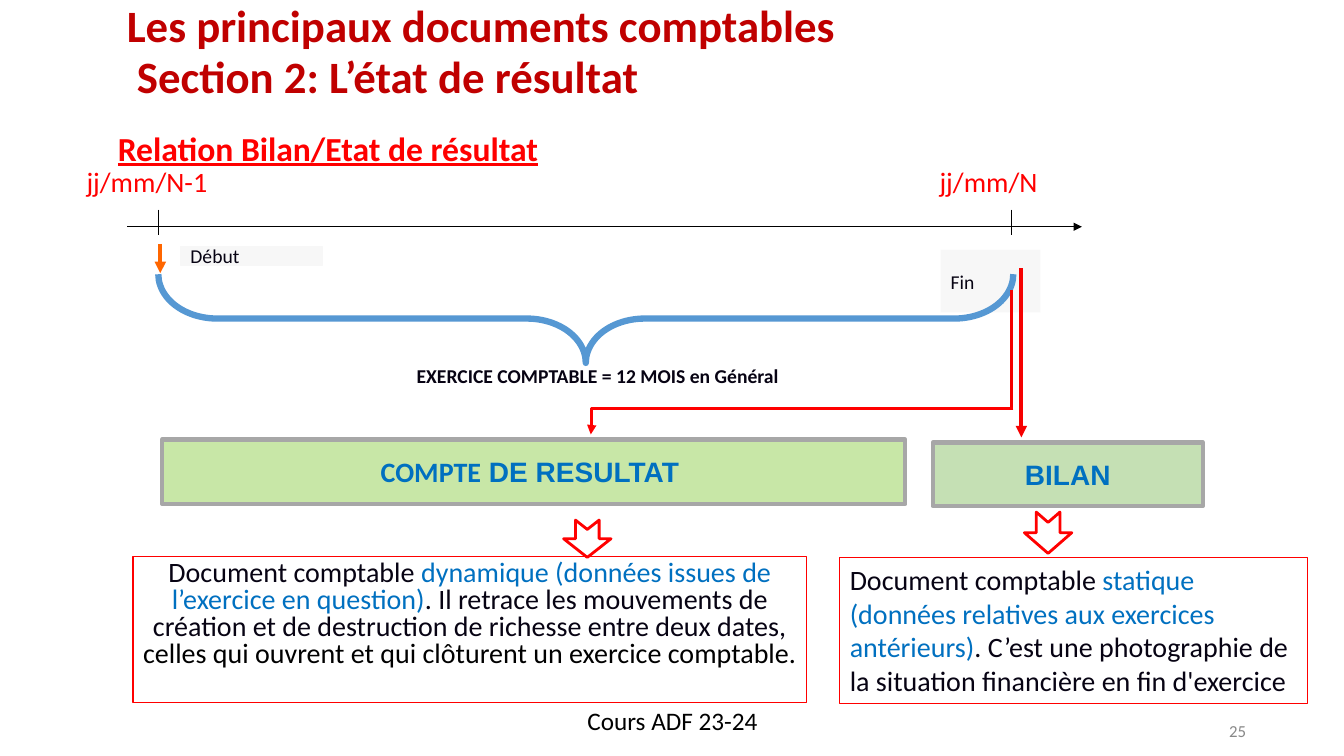
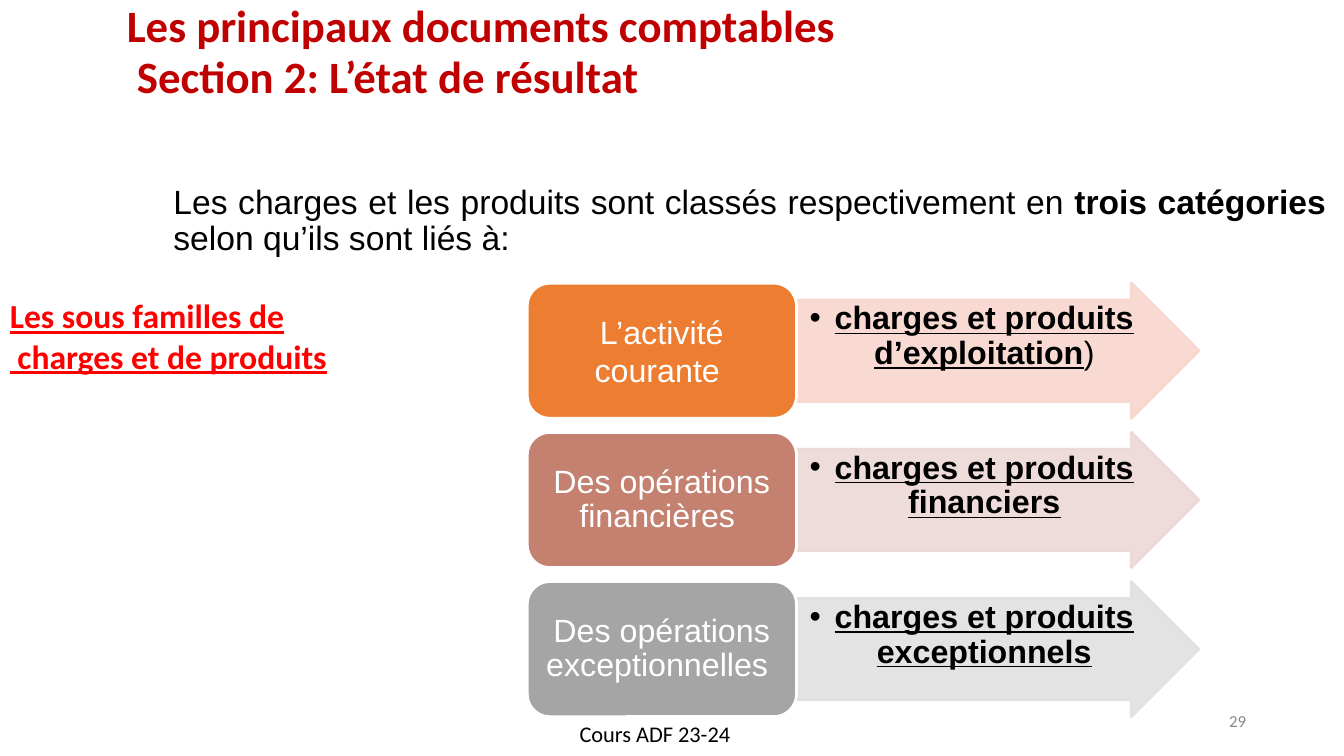
from dataclasses import dataclass

from lxml import etree
from pptx import Presentation
from pptx.dml.color import RGBColor
from pptx.enum.shapes import MSO_CONNECTOR, MSO_SHAPE
from pptx.enum.text import MSO_ANCHOR, PP_ALIGN
from pptx.oxml.ns import qn
from pptx.util import Emu, Pt

PX = 9144  # EMU in one px, 100 px to the inch

RECT, ROUND = MSO_SHAPE.RECTANGLE, MSO_SHAPE.ROUNDED_RECTANGLE
ARROW, NOTCHED = MSO_SHAPE.RIGHT_ARROW, MSO_SHAPE.NOTCHED_RIGHT_ARROW
BRACE = MSO_SHAPE.LEFT_BRACE
STRAIGHT, ELBOW = MSO_CONNECTOR.STRAIGHT, MSO_CONNECTOR.ELBOW
TOP, MIDDLE = MSO_ANCHOR.TOP, MSO_ANCHOR.MIDDLE
LEFT, CENTER = PP_ALIGN.LEFT, PP_ALIGN.CENTER
RIGHT, JUSTIFY = PP_ALIGN.RIGHT, PP_ALIGN.JUSTIFY


@dataclass(frozen=True)
class Theme:
    sans: str = "Calibri"
    arial: str = "Arial"
    black: str = "000000"
    white: str = "FFFFFF"
    ink: str = "070313"
    title: str = "C00000"
    red: str = "FF0000"
    deep_red: str = "F60000"
    blue: str = "0070C0"
    brace: str = "5698D3"
    orange: str = "FF6600"
    border: str = "A7A7A7"
    pale: str = "F7F7F7"
    lime: str = "92D050"
    green: str = "C5E0B4"
    number: str = "888888"
    title_size: int = 32
    heading_size: int = 24
    category_size: int = 23
    body_size: int = 20
    footer_size: int = 18
    small_footer_size: int = 16
    label_size: int = 14
    number_size: int = 12


T = Theme()


def px(*values):
    return [Emu(v * PX) for v in values]


def font(size, color, name=T.sans, **extra):
    return {"size": Pt(size), "name": name, "color": color, **extra}


def write(sp, paras, base, align=LEFT, spacing=None, anchor=TOP,
          insets=(10, 5, 10, 5)):
    """Fill sp; a paragraph is a string or a list of (text, font changes)."""
    tf = sp.text_frame
    sides = zip(("left", "top", "right", "bottom"), px(*insets))
    frame = {f"margin_{side}": v for side, v in sides}
    frame.update(word_wrap=True, vertical_anchor=anchor)
    for key, value in frame.items():
        setattr(tf, key, value)
    for i, para in enumerate(paras):
        p = tf.add_paragraph() if i else tf.paragraphs[0]
        p.alignment, p.line_spacing = align, spacing
        for text, changes in [(para, {})] if isinstance(para, str) else para:
            r = p.add_run()
            r.text = text
            for key, value in {**base, **changes}.items():
                if key == "color":
                    r.font.color.rgb = RGBColor.from_string(value)
                else:
                    setattr(r.font, key, value)
    return tf


def text_box(slide, at, paras, base, **layout):
    return write(slide.shapes.add_textbox(*px(*at)), paras, base, **layout)


def shape(slide, kind, at, fill=None, line=None, opacity=None, rotation=0,
          adjust=()):
    """Add a preset shape; line is (colour, points), opacity is in percent."""
    sp = slide.shapes.add_shape(kind, *px(*at))
    sp.shadow.inherit = False
    sp.rotation = rotation
    for i, value in enumerate(adjust):
        sp.adjustments[i] = value
    if fill:
        sp.fill.solid()
        sp.fill.fore_color.rgb = RGBColor.from_string(fill)
    else:
        sp.fill.background()
    if opacity:
        color = sp._element.spPr.find(qn("a:solidFill")).find(qn("a:srgbClr"))
        etree.SubElement(color, qn("a:alpha"), val=str(opacity * 1000))
    if line:
        sp.line.color.rgb = RGBColor.from_string(line[0])
        sp.line.width = Pt(line[1])
    else:
        sp.line.fill.background()
    return sp


def connector(slide, start, end, color, width, head=False, kind=STRAIGHT,
              bend=None):
    """Draw a line; bend is where an elbow turns, in thousandths."""
    cx = slide.shapes.add_connector(kind, *px(*start, *end))
    cx.line.color.rgb = RGBColor.from_string(color)
    cx.line.width = Pt(width)
    spPr = cx._element.spPr
    if head:
        etree.SubElement(spPr.find(qn("a:ln")), qn("a:tailEnd"), type="triangle")
    if bend:
        guides = spPr.find(qn("a:prstGeom")).find(qn("a:avLst"))
        etree.SubElement(guides, qn("a:gd"), name="adj1",
                         fmla=f"val {bend * 100}")
    etree.SubElement(spPr, qn("a:effectLst"))


def bullet(p, indent):
    pPr = p._p.get_or_add_pPr()
    pPr.set("marL", str(indent * PX))
    pPr.set("indent", str(-indent * PX))
    color = etree.SubElement(pPr, qn("a:buClr"))
    etree.SubElement(color, qn("a:srgbClr"), val=T.black)
    etree.SubElement(pPr, qn("a:buFont"), typeface=T.arial)
    etree.SubElement(pPr, qn("a:buChar"), char="•")


def new_slide(prs, number, number_at):
    """Add a slide with the course title and its page number."""
    slide = prs.slides.add_slide(prs.slide_layouts[6])
    tf = text_box(slide, (116, -1, 967, 163),
                  ["Les principaux documents comptables",
                   " Section 2: L’état de résultat"],
                  font(T.title_size, T.title, bold=True), spacing=0.9)
    tf.paragraphs[1].space_before = Pt(2)
    text_box(slide, number_at, [number], font(T.number_size, T.number),
             align=RIGHT, anchor=MIDDLE, insets=(5, 5, 5, 5))
    return slide


def footer(slide, at, size, align):
    text_box(slide, at, ["Cours ADF 23-24"], font(size, T.black), align=align)


def timeline(slide):
    connector(slide, (126, 225), (1073, 225), T.black, 0.75, head=True)
    dates = ((157, 76, "jj/mm/N-1"), (1003, 922, "jj/mm/N"))
    for tick, left, date in dates:
        connector(slide, (tick, 208), (tick, 233), T.black, 0.75)
        text_box(slide, (left, 158, 181, 43), [date],
                 font(T.body_size, T.red))
    marks = (((179, 245, 141, 18), "Début", (T.pale, 1)),
             ((933, 248, 99, 62), "Fin", None))
    for at, label, line in marks:
        write(shape(slide, RECT, at, T.pale, line), [label],
              font(T.label_size, T.ink), anchor=MIDDLE)
    connector(slide, (159, 242), (159, 271), T.orange, 2.75, head=True)
    shape(slide, BRACE, (537, -108, 88, 848), line=(T.brace, 4.5),
          rotation=270, adjust=(0.664, 0.5))
    text_box(slide, (170, 356, 846, 41),
             ["EXERCICE COMPTABLE = 12 MOIS en Général"],
             font(T.label_size, T.ink, bold=True), align=CENTER)


def statement(slide, at, fill, runs, opacity=None):
    sp = shape(slide, RECT, at, fill, (T.border, 3), opacity)
    write(sp, [runs], font(T.body_size, T.blue, T.arial, bold=True),
          align=CENTER, anchor=MIDDLE)


def definition(slide, at, line_width, runs, **layout):
    sp = shape(slide, RECT, at, line=(T.red, line_width))
    write(sp, [runs], font(T.body_size, T.ink), **layout)


def relation_slide(prs):
    slide = new_slide(prs, "25", (1195, 710, 46, 30))
    text_box(slide, (107, 122, 909, 50), ["Relation Bilan/Etat de résultat"],
             font(T.heading_size, T.red, bold=True, underline=True))
    timeline(slide)

    statement(slide, (161, 436, 737, 64), T.lime,
              [("COMPTE", {"name": T.sans}), (" DE RESULTAT ", {})], 50)
    statement(slide, (925, 439, 268, 63), T.green, [("BILAN", {})])
    connector(slide, (1013, 266), (1013, 434), T.deep_red, 2.75, head=True)
    connector(slide, (1003, 288), (1003, 406), T.deep_red, 2.25)
    connector(slide, (1005, 405), (586, 431), T.red, 2.25, head=True,
              kind=ELBOW, bend=998)

    blue = {"color": T.blue}
    definition(slide, (132, 552, 668, 145), 1, [
        ("Document comptable ", {}),
        ("dynamique (données issues de l’exercice en question)", blue),
        (". Il retrace les mouvements de création et de destruction de "
         "richesse entre deux dates, ", {}),
        ("celles qui ouvrent et qui clôturent un exercice comptable.",
         {"color": T.black})], align=CENTER, spacing=0.8)
    definition(slide, (833, 553, 464, 145), 0.75, [
        ("Document comptable ", {}),
        ("statique (données relatives aux exercices antérieurs)", blue),
        (". C’est une photographie de la situation financière en fin "
         "d'exercice", {})])
    for at in ((564, 511, 37, 47), (1019, 505, 41, 47)):
        shape(slide, NOTCHED, at, T.white, (T.red, 2), rotation=90)
    footer(slide, (456, 695, 422, 40), T.footer_size, CENTER)


def category(slide, top, name, color, tint, items, spacing):
    """Draw one category box and the arrow holding its bulleted items."""
    arrow = shape(slide, ARROW, (789, top, 400, 134), tint, (tint, 2), 90,
                  adjust=(0.75, 0.5))
    tf = write(arrow, [items],
               font(T.category_size, T.black, T.arial, bold=True,
                    underline=True),
               align=CENTER, spacing=0.9, insets=(2, 2, 2, 2))
    bullet(tf.paragraphs[0], 25)
    box = shape(slide, ROUND, (523, top, 267, 134), color, (T.white, 2))
    write(box, [name], font(T.category_size, T.white, T.arial),
          align=CENTER, spacing=spacing, anchor=MIDDLE)


def categories_slide(prs):
    slide = new_slide(prs, "29", (1203, 700, 38, 30))
    text_box(slide, (155, 179, 1165, 90), [[
        ("Les charges et les produits sont classés respectivement en ", {}),
        ("trois catégories", {"bold": True}),
        (" selon qu’ils sont liés à:", {})]],
        font(T.heading_size, T.black, T.arial), align=JUSTIFY, spacing=0.9,
        insets=(17, 5, 5, 5))
    text_box(slide, (0, 288, 360, 91),
             ["Les sous familles de", " charges et de produits"],
             font(T.heading_size, T.red, bold=True, underline=True))

    plain = {"bold": False, "underline": False}
    rows = (
        ("L’activité courante ", "ED7D31", "F8D7CE",
         [("charges et produits d’exploitation", {}), (")", plain)], 1.0),
        ("Des opérations financières ", "C48170", "EDD9D7",
         [("charges et produits financiers", {})], 0.9),
        ("Des opérations exceptionnelles ", "A5A5A5", "E1E1E1",
         [("charges et produits exceptionnels", {})], 0.9),
    )
    for i, row in enumerate(rows):
        category(slide, 281 + 148 * i, *row)
    footer(slide, (565, 710, 317, 40), T.small_footer_size, LEFT)


def main():
    prs = Presentation()
    prs.slide_width, prs.slide_height = px(1333, 750)
    relation_slide(prs)
    categories_slide(prs)
    prs.save("out.pptx")


if __name__ == "__main__":
    main()
